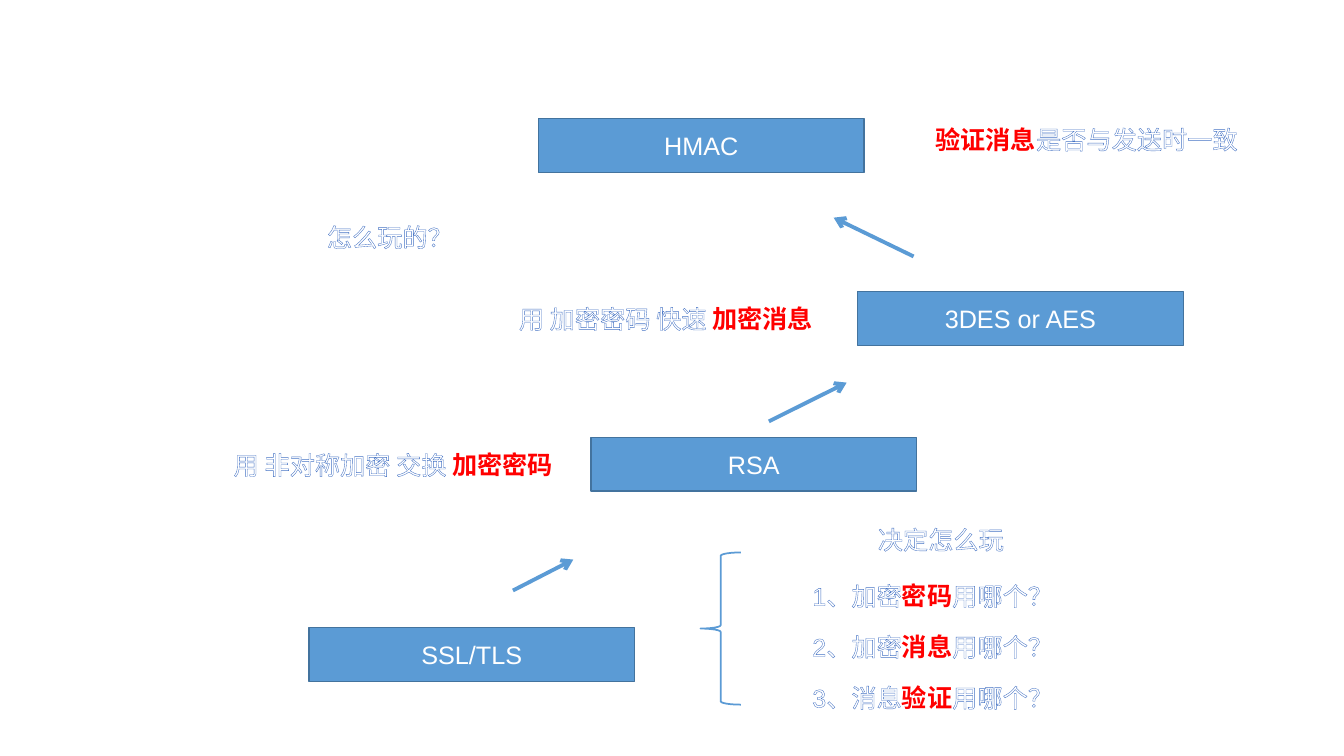
"""Build the slide that shows how four encryption layers work together."""
from dataclasses import dataclass

from lxml.etree import SubElement
from pptx import Presentation
from pptx.dml.color import RGBColor
from pptx.enum.lang import MSO_LANGUAGE_ID
from pptx.enum.shapes import MSO_CONNECTOR, MSO_SHAPE
from pptx.enum.text import MSO_ANCHOR, MSO_AUTO_SIZE, PP_ALIGN
from pptx.oxml import parse_xml
from pptx.oxml.ns import qn
from pptx.slide import Slide
from pptx.text.text import _Paragraph
from pptx.util import Pt

COLOURS = {
    "white": "FFFFFF",
    "red": "FF0000",
    "blue": "5B9BD5",
    "border": "43739E",
    "outline": "4472C4",
}
FONT = "Arial"
FONT_SIZE = 18
BOX_WIDTH, BOX_HEIGHT = 232.6, 38.5
NOTE_HEIGHT = 29
QUESTION_LEFT, QUESTION_TOP, QUESTION_STEP = 573.1, 411.1, 36.3
OUTLINE_XML = (
    '<a:ln xmlns:a="http://schemas.openxmlformats.org/drawingml/2006/main" w="10160">'
    f'<a:solidFill><a:srgbClr val="{COLOURS["outline"]}"/></a:solidFill></a:ln>'
)


@dataclass(frozen=True)
class Layer:
    """A protocol layer box."""

    name: str
    left: float
    top: float


@dataclass(frozen=True)
class Run:
    """A piece of note text, outlined or highlighted."""

    text: str
    highlighted: bool = False


@dataclass(frozen=True)
class Note:
    """A line of explanation beside the layers."""

    left: float
    top: float
    width: float
    runs: tuple[Run, ...]
    wraps: bool = False


@dataclass(frozen=True)
class Arrow:
    """An arrow from one layer towards the next."""

    start: tuple[float, float]
    end: tuple[float, float]


LAYERS = (
    Layer("SSL/TLS", 220.7, 448.3),
    Layer("RSA", 422.2, 312.4),
    Layer("3DES or AES", 612.6, 208.4),
    Layer("HMAC", 384.6, 84.8),
)
ARROWS = (
    Arrow((366.4, 421.8), (409.5, 399.7)),
    Arrow((549.2, 301), (604.8, 273.3)),
    Arrow((652.6, 183.2), (595.5, 155.5)),
)
QUESTIONS = (("1、加密", "密码"), ("2、加密", "消息"), ("3、消息", "验证"))
NOTES = (
    Note(226.4, 154.8, 113, (Run("怎么玩的？"),), wraps=True),
    Note(619.9, 370.8, 104.4, (Run("决定怎么玩"),)),
    Note(363.6, 213.1, 227.5, (Run("用 加密密码 快速 "), Run("加密消息", True))),
    Note(159.8, 317.5, 245.5, (Run("用 非对称加密 交换 "), Run("加密密码", True))),
    Note(661, 85, 230.4, (Run("验证消息", True), Run("是否与发送时一致"))),
) + tuple(
    Note(
        QUESTION_LEFT,
        QUESTION_TOP + index * QUESTION_STEP,
        186.5,
        (Run(opening), Run(subject, True), Run("用哪个？")),
    )
    for index, (opening, subject) in enumerate(QUESTIONS)
)


def colour(name: str) -> RGBColor:
    """Return the named colour."""
    return RGBColor.from_string(COLOURS[name])


def add_run(paragraph: _Paragraph, text: str, colour_name: str):
    """Add a run in the slide's font and return it."""
    run = paragraph.add_run()
    run.text = text
    run.font.name = FONT
    run.font.size = Pt(FONT_SIZE)
    run.font.language_id = MSO_LANGUAGE_ID.SIMPLIFIED_CHINESE
    run.font.color.rgb = colour(colour_name)
    return run


def add_layer(slide: Slide, layer: Layer) -> None:
    """Draw a filled box with the layer's name."""
    shape = slide.shapes.add_shape(
        MSO_SHAPE.RECTANGLE, Pt(layer.left), Pt(layer.top), Pt(BOX_WIDTH), Pt(BOX_HEIGHT)
    )
    shape.shadow.inherit = False
    shape.fill.solid()
    shape.fill.fore_color.rgb = colour("blue")
    shape.line.color.rgb = colour("border")
    shape.line.width = Pt(1)
    shape.text_frame.vertical_anchor = MSO_ANCHOR.MIDDLE
    paragraph = shape.text_frame.paragraphs[0]
    paragraph.alignment = PP_ALIGN.CENTER
    add_run(paragraph, layer.name, "white")


def add_note(slide: Slide, note: Note) -> None:
    """Draw a note with outlined white and bold red runs."""
    text_box = slide.shapes.add_textbox(
        Pt(note.left), Pt(note.top), Pt(note.width), Pt(NOTE_HEIGHT)
    )
    text_box.text_frame.word_wrap = note.wraps
    text_box.text_frame.auto_size = MSO_AUTO_SIZE.SHAPE_TO_FIT_TEXT
    paragraph = text_box.text_frame.paragraphs[0]
    for piece in note.runs:
        run = add_run(paragraph, piece.text, "red" if piece.highlighted else "white")
        run.font.bold = piece.highlighted
        if not piece.highlighted:
            run._r.get_or_add_rPr().insert(0, parse_xml(OUTLINE_XML))


def add_arrow(slide: Slide, arrow: Arrow) -> None:
    """Draw a straight line with an open arrowhead at its end."""
    connector = slide.shapes.add_connector(
        MSO_CONNECTOR.STRAIGHT, *(Pt(value) for value in arrow.start + arrow.end)
    )
    connector.line.color.rgb = colour("blue")
    connector.line.width = Pt(2.75)
    SubElement(connector.line._get_or_add_ln(), qn("a:tailEnd"), type="arrow")
    SubElement(connector._element.spPr, qn("a:effectLst"))


def add_brace(slide: Slide) -> None:
    """Draw the brace that groups the questions."""
    brace = slide.shapes.add_shape(
        MSO_SHAPE.LEFT_BRACE, Pt(500.4), Pt(394.6), Pt(28.8), Pt(108.7)
    )
    brace.shadow.inherit = False
    brace.fill.background()
    brace.line.color.rgb = colour("blue")
    brace.line.width = Pt(1.25)


def main() -> None:
    """Create and save the presentation."""
    presentation = Presentation()
    presentation.slide_width, presentation.slide_height = Pt(960), Pt(540)
    slide = presentation.slides.add_slide(presentation.slide_layouts[6])
    for layer in LAYERS:
        add_layer(slide, layer)
    for arrow in ARROWS:
        add_arrow(slide, arrow)
    add_brace(slide)
    for note in NOTES:
        add_note(slide, note)
    presentation.save("out.pptx")


if __name__ == "__main__":
    main()
